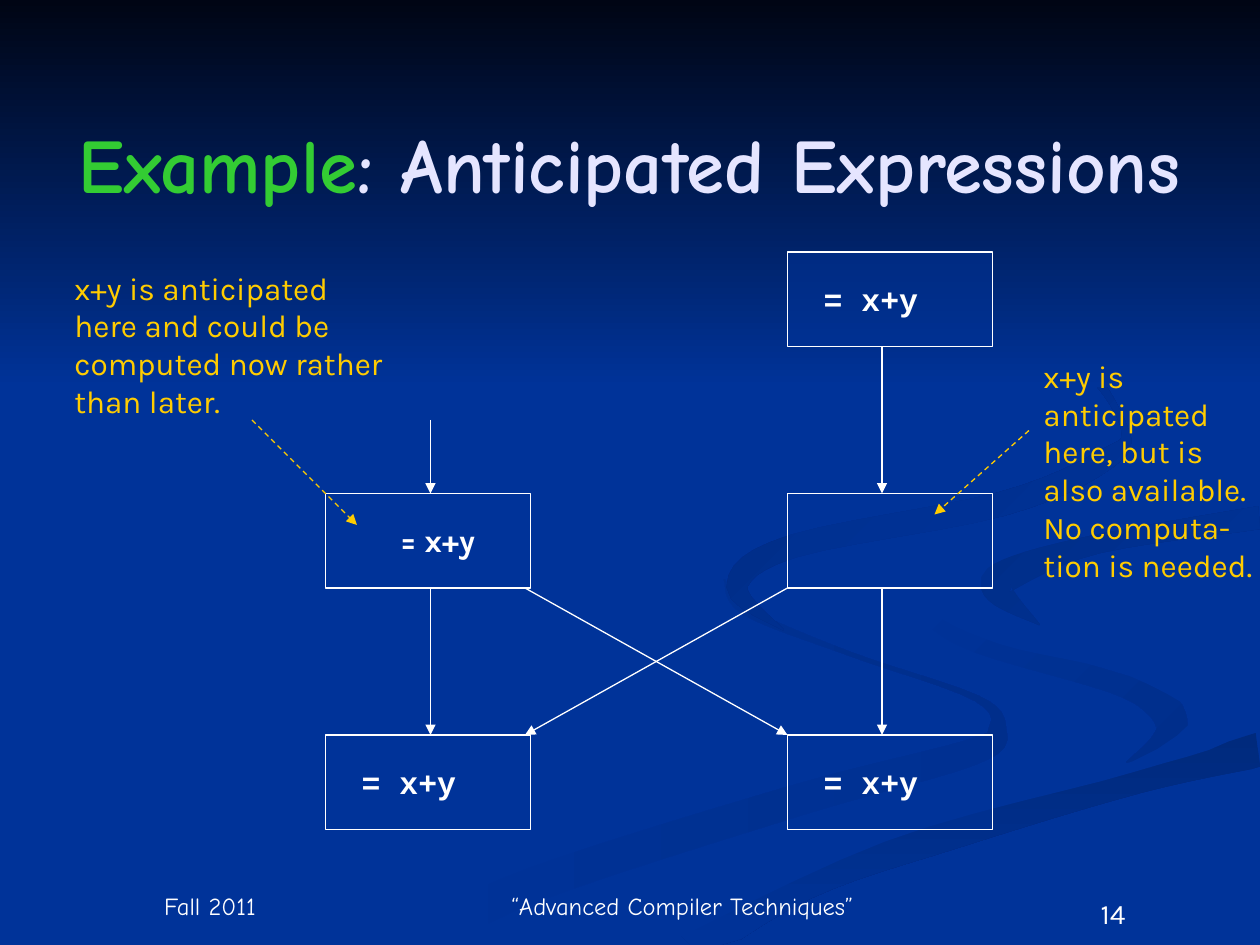
import math
import pptx
import pptx.util
import pptx.dml.color
import pptx.enum.dml
import pptx.enum.shapes
import pptx.enum.text
import pptx.oxml.ns
import lxml.etree

# The slide is a grid of 120 columns by 90 rows, 12 to the inch
COLUMNS, ROWS = 120, 90
CELL = pptx.util.Inches(1) // 12
BLUE, WHITE, GOLD, GREEN, LILAC = "003399", "FFFFFF", "FFCC00", "33CC33", "E5E5FF"
ALIGN = pptx.enum.text.PP_ALIGN
ANCHOR = pptx.enum.text.MSO_ANCHOR
RECT = pptx.enum.shapes.MSO_SHAPE.RECTANGLE
qn = pptx.oxml.ns.qn

# Each ribbon follows a few bends, given as (column, row, ribbon width)
LONG_S = [(69, 55.2, 0.1), (71, 58.2, 0.8), (81, 62.3, 0.4), (93, 66.5, 0.6), (95, 69.5, 1.7),
          (92.4, 71.7, 2.5), (76, 76.2, 3), (51, 84.2, 3.3), (39, 90, 3.5)]
SHORT_S = [(87, 55.7, 0.1), (88.3, 58.6, 1.1), (93.2, 61.2, 2), (106, 65, 2), (110.3, 66.9, 3),
           (111.6, 69.1, 3), (110.5, 70.9, 2.2), (107.3, 72.6, 0.1)]
ROAD = [(120, 71.4, 3.3), (108.4, 74.4, 2.3), (91, 79.1, 3.3), (76.6, 84.2, 3), (64.4, 90, 6)]
GAP = [(120, 47.3, 1.8), (105, 49.5, 1.6), (92, 53, 4), (90.4, 55.6, 6), (96, 59.5, 4),
       (108, 63.2, 2.5), (116.5, 67.5, 5), (108, 73, 1), (84, 79.4, 1.6), (60, 90, 3)]
HOOK = [(120, 49.3, 2.2), (104.6, 51.8, 1.8), (96.1, 54.7, 3), (95.2, 56.4, 2.6), (99, 59.5, 0.1)]
UPPER_S = [(91.4, 28, 0.1), (102, 33.7, 0.9), (107, 40.5, 0.6), (105.4, 43.7, 2),
           (95.4, 48, 2.3), (75.6, 52, 2.2), (70.2, 55.9, 2), (74.6, 60, 0.1)]
# Bends, first colour, last colour, direction of the blend
RIBBONS = [(LONG_S, BLUE, "002E8B", 0), (SHORT_S, BLUE, "002E8B", 45),
           (ROAD, "002A7D", BLUE, 90), (GAP, BLUE, BLUE, 0),
           (HOOK, "002D86", BLUE, 45), (UPPER_S, "002B82", BLUE, 45)]


def color(code):
    return pptx.dml.color.RGBColor.from_string(code)


def cells(*counts):
    return [round(count * CELL) for count in counts]


def smooth(bends, steps=6):
    """Run a Catmull-Rom curve through the bends, widths included."""
    padded = [bends[0], *bends, bends[-1]]
    curve = []
    for before, start, end, after in zip(padded, padded[1:], padded[2:], padded[3:]):
        for t in (step / steps for step in range(steps)):
            curve.append(tuple(
                b + t * (c - a) / 2 + t**2 * (a - 2.5 * b + 2 * c - d / 2)
                + t**3 * (1.5 * (b - c) + (d - a) / 2)
                for a, b, c, d in zip(before, start, end, after)))
    return curve + [bends[-1]]


def ribbon_outline(bends):
    """Go half the width to either side of the curve, kept within the slide."""
    curve = smooth(bends)
    near, far = [], []
    for index, (x, y, width) in enumerate(curve):
        behind, ahead = curve[max(index - 1, 0)], curve[min(index + 1, len(curve) - 1)]
        heading_angle = math.atan2(ahead[1] - behind[1], ahead[0] - behind[0])
        for side, reach in ((near, width / 2), (far, -width / 2)):
            side.append((min(x - reach * math.sin(heading_angle), COLUMNS),
                         min(y + reach * math.cos(heading_angle), ROWS)))
    return near + far[::-1]


def paint(shape, start, end, angle):
    """Give a decoration its blend of two colours, without an outline."""
    shape.shadow.inherit = False
    shape.line.fill.background()
    if start == end:
        shape.fill.solid()
        shape.fill.fore_color.rgb = color(start)
        return
    shape.fill.gradient()
    shape.fill.gradient_angle = -angle % 360
    for stop, code in zip(shape.fill.gradient_stops, (start, end)):
        stop.color.rgb = color(code)


def style(font, name, size, code, bold):
    font.name, font.size, font.bold = name, pptx.util.Pt(size), bold
    font.color.rgb = color(code)


def write(slide, box, lines, font, size, code, align=ALIGN.LEFT, anchor=ANCHOR.TOP, bold=False):
    """Put one paragraph per line in a text box; return its paragraphs."""
    frame = slide.shapes.add_textbox(*cells(*box)).text_frame
    frame.word_wrap = True
    frame.vertical_anchor = anchor
    frame.text = "\n".join(lines)
    for paragraph in frame.paragraphs:
        paragraph.alignment = align
        style(paragraph.font, font, size, code, bold)
    return frame.paragraphs


def arrow(slide, start, end, code=WHITE, dashed=False):
    link = slide.shapes.add_connector(
        pptx.enum.shapes.MSO_CONNECTOR.STRAIGHT, *cells(*start, *end))
    link.line.color.rgb = color(code)
    link.line.width = pptx.util.Pt(0.75)
    if dashed:
        link.line.dash_style = pptx.enum.dml.MSO_LINE.DASH
    lxml.etree.SubElement(link.line._get_or_add_ln(), qn("a:tailEnd"), type="triangle")
    lxml.etree.SubElement(link._element.spPr, qn("a:effectLst"))


def backdrop(slide, left, top, width, height):
    slide.background.fill.solid()
    slide.background.fill.fore_color.rgb = color(BLUE)
    for bends, start, end, angle in RIBBONS:
        first, *others = ribbon_outline(bends)
        builder = slide.shapes.build_freeform(*cells(*first))
        builder.add_line_segments([cells(*point) for point in others], close=True)
        paint(builder.convert_to_shape(*cells(left, top)), start, end, angle)
    # Dark sky over the upper part
    sky = slide.shapes.add_shape(RECT, *cells(left, top, width, height * 0.41))
    paint(sky, "000514", BLUE, 90)


def heading(slide, *box):
    title, = write(slide, box, ["Example"], "Comic Neue", 44, LILAC,
                   ALIGN.CENTER, ANCHOR.MIDDLE, True)
    title.runs[0].font.color.rgb = color(GREEN)
    title.add_run().text = ": Anticipated Expressions"


def footer(slide, left, top, height):
    for offset, width, words in ((6, 28, "Fall 2011"),
                                 (46, 38, "“Advanced Compiler Techniques”")):
        write(slide, (left + offset, top, width, height), [words], "Comic Neue", 14,
              WHITE, ALIGN.CENTER, ANCHOR.BOTTOM)
    write(slide, (left + 96, top + 0.8, 20, 4.8), ["14"], "Karla", 16, WHITE, ALIGN.CENTER)


def block(slide, left, top, width, height, words):
    """A half-transparent box of the flow graph."""
    node = slide.shapes.add_shape(RECT, *cells(left, top, width, height))
    node.shadow.inherit = False
    node.fill.solid()
    node.fill.fore_color.rgb = color(BLUE)
    fill_color = node._element.spPr.find(".//" + qn("a:srgbClr"))
    lxml.etree.SubElement(fill_color, qn("a:alpha"), val="50000")
    node.line.color.rgb = color(WHITE)
    node.line.width = pptx.util.Pt(0.75)
    if words:
        frame = node.text_frame
        frame.word_wrap = False
        frame.vertical_anchor = ANCHOR.MIDDLE
        frame.margin_right = pptx.util.Inches(0.4)
        frame.text = words
        frame.paragraphs[0].alignment = ALIGN.CENTER
        style(frame.paragraphs[0].font, "Courier New", 18, WHITE, True)


def flow_graph(slide, left, top):
    width, height, row_step, column_step = 19.5, 9, 23, 44
    right = left + column_step
    upper, middle, lower = (top + row_step * row for row in range(3))
    for x, y, words in ((left, lower, "= x+y"), (right, lower, "= x+y"), (right, upper, "= x+y"),
                        (left, middle, ""), (right, middle, "")):
        block(slide, x, y, width, height, words)
    # Straight edges, the crossing pair, then the entry on the left
    left_edge, right_edge, corner = left + 10, left + 53, left + 19
    for x, y in ((right_edge, upper), (left_edge, middle), (right_edge, middle)):
        arrow(slide, (x, y + height), (x, y + row_step))
    for start, end in ((corner, right), (right, corner)):
        arrow(slide, (start, middle + height), (end, lower))
    arrow(slide, (left_edge, middle - 7), (left_edge, middle))
    write(slide, (left + 5.9, middle + 2, 10, 4.8), ["= x+y"], "Karla", 18, WHITE, bold=True)


def remark(slide, box, lines, start, end):
    """A gold note with a dashed arrow; arrow ends are relative to the box."""
    write(slide, box, lines, "Karla", 18, GOLD)
    left, top = box[:2]
    arrow(slide, (left + start[0], top + start[1]), (left + end[0], top + end[1]), GOLD, True)


def main():
    deck = pptx.Presentation()
    deck.slide_width, deck.slide_height = cells(COLUMNS, ROWS)
    slide = deck.slides.add_slide(deck.slide_layouts[6])
    backdrop(slide, 0, 0, COLUMNS, ROWS)
    footer(slide, 0, 84, 4.25)
    heading(slide, 0, 8, COLUMNS, 15)
    flow_graph(slide, 31, 24)
    remark(slide, (5.9, 25, 33, 15.6),
           ["x+y is anticipated", "here and could be", "computed now rather", "than later."],
           (18.1, 15), (28.1, 25))
    remark(slide, (98.2, 33.4, 23, 22.8), ["x+y is", "anticipated", "here, but is",
           "also available.", "No computa-", "tion is needed."], (-0.2, 7.6), (-9.2, 15.6))
    deck.save("out.pptx")


if __name__ == "__main__":
    main()
